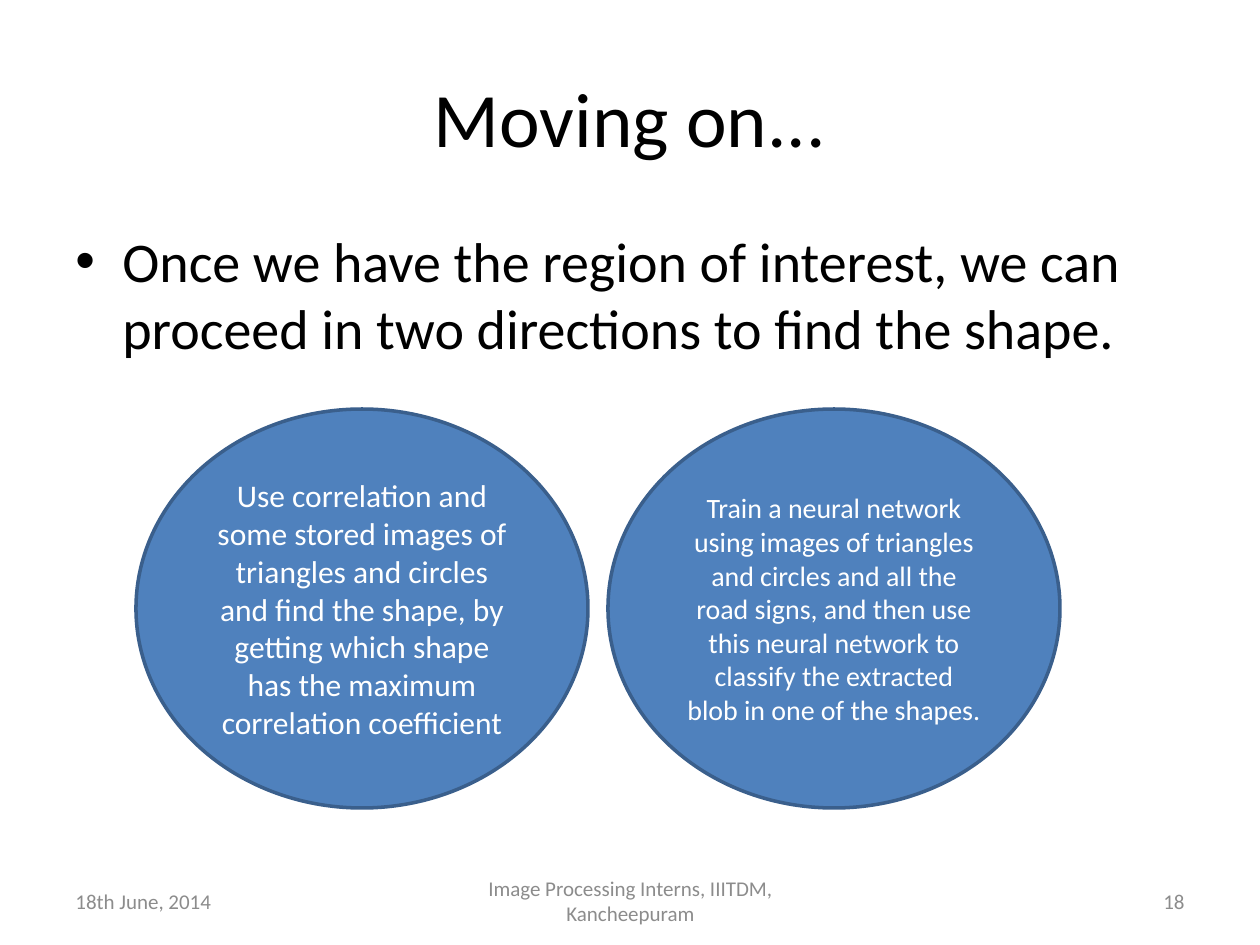
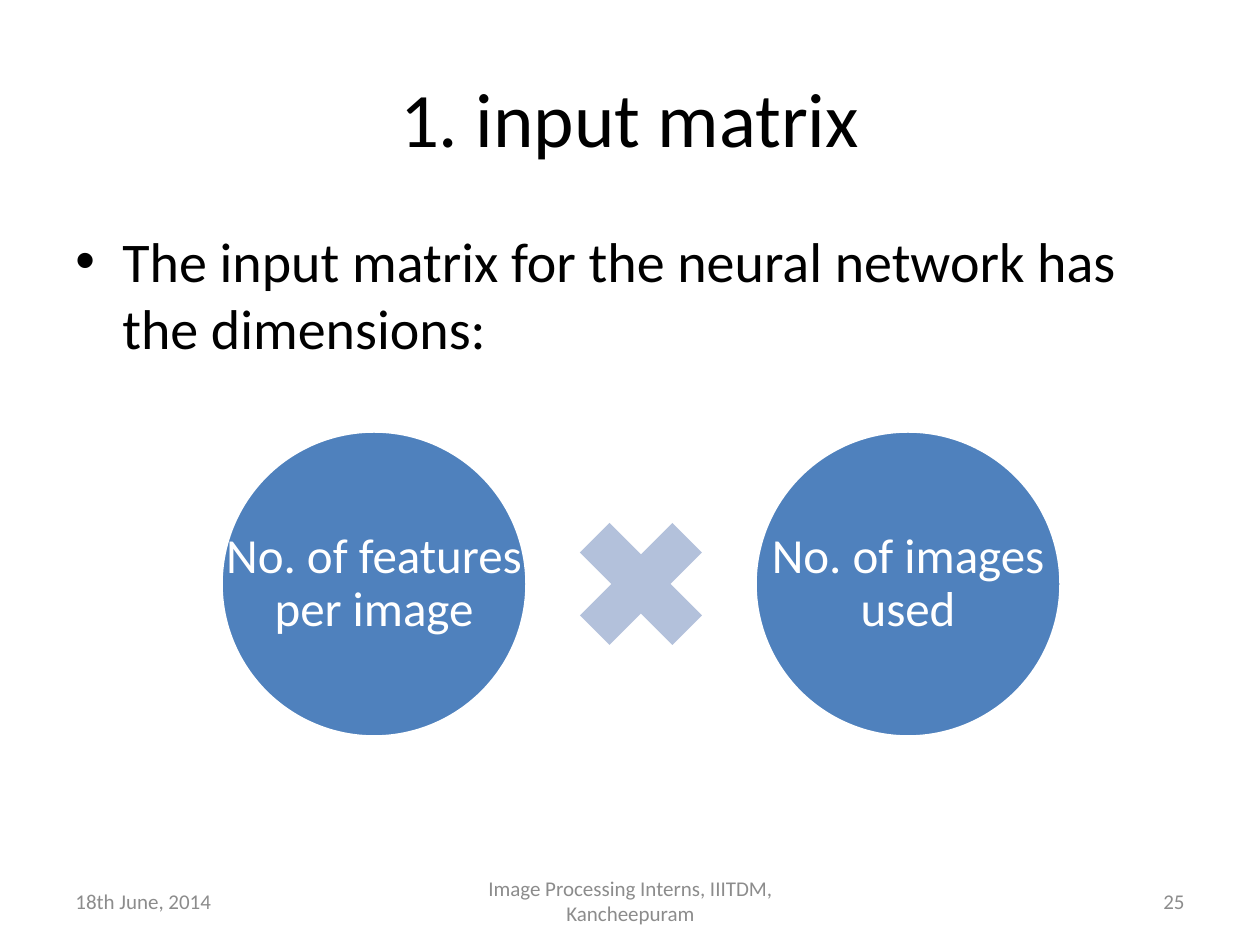
from lxml.etree import SubElement
from pptx import Presentation
from pptx.dml.color import RGBColor
from pptx.enum.shapes import MSO_SHAPE
from pptx.enum.text import MSO_ANCHOR, PP_ALIGN
from pptx.oxml.ns import qn
from pptx.util import Emu, Pt

SCALE = 914400 / 126
FONT = "Calibri"
BLACK, WHITE, GREY = "000000", "FFFFFF", "8C8C8C"
BLUE, DARK_BLUE, PALE_BLUE = "4F81BD", "3A5F8C", "B3C1DB"
MARGIN, CONTENT_W = 63, 1134
FOOTER_Y, FOOTER_H = 876, 50
LEFT, CENTER, RIGHT = PP_ALIGN.LEFT, PP_ALIGN.CENTER, PP_ALIGN.RIGHT


def px(n):
    return Emu(round(n * SCALE))


def color(value):
    return RGBColor.from_string(value)


def write(sp, text, size, text_color, align=CENTER, anchor=MSO_ANCHOR.MIDDLE,
          frame=None, para=None):
    """Fill a shape with one styled paragraph and return the paragraph."""
    tf = sp.text_frame
    frame_format = {"word_wrap": True, "vertical_anchor": anchor} | (frame or {})
    for name, value in frame_format.items():
        setattr(tf, name, value)
    p = tf.paragraphs[0]
    for name, value in ({"alignment": align} | (para or {})).items():
        setattr(p, name, value)
    r = p.add_run()
    r.text = text
    for name, value in {"name": FONT, "size": Pt(size)}.items():
        setattr(r.font, name, value)
    r.font.color.rgb = color(text_color)
    return p


def add_text(s, box, text, size, text_color, **formats):
    sp = s.shapes.add_textbox(*map(px, box))
    return write(sp, text, size, text_color, **formats)


def add_bullet(s, text):
    p = add_text(s, (MARGIN, 220, CONTENT_W, 624), text, 32, BLACK, align=LEFT,
                 anchor=MSO_ANCHOR.TOP, para={"space_before": Pt(6.4)})
    pPr = p._p.get_or_add_pPr()
    indent = px(47)
    pPr.set("marL", str(indent))
    pPr.set("indent", str(-indent))
    SubElement(pPr, qn("a:buFont")).set("typeface", "Arial")
    SubElement(pPr, qn("a:buChar")).set("char", "•")


def add_figure(s, kind, box, fill, line=None):
    sp = s.shapes.add_shape(kind, *map(px, box))
    sp.shadow.inherit = False
    sp.fill.solid()
    sp.fill.fore_color.rgb = color(fill)
    if line:
        sp.line.color.rgb = color(line)
        sp.line.width = Pt(2)
    else:
        sp.line.fill.background()
    return sp


def add_content_slide(prs, title, bullet, number):
    """Add a slide with the shared title, bullet and footer."""
    s = prs.slides.add_slide(prs.slide_layouts[6])
    add_text(s, (MARGIN, 38, CONTENT_W, 157), title, 44, BLACK)
    add_bullet(s, bullet)
    footers = [
        (MARGIN, 294, "18th June, 2014", LEFT),
        (431, 399, "Image Processing Interns, IIITDM, Kancheepuram", CENTER),
        (903, 294, str(number), RIGHT),
    ]
    for x, w, text, align in footers:
        add_text(s, (x, FOOTER_Y, w, FOOTER_H), text, 12, GREY, align=align)
    return s


def add_directions(s):
    """Two large ovals side by side, one for each approach."""
    left, top, w, h, gap = 136, 409, 452, 399, 20
    directions = [
        ("Use correlation and some stored images of triangles and circles and "
         "find the shape, by getting which shape has the maximum correlation "
         "coefficient", 18),
        ("Train a neural network using images of triangles and circles and all "
         "the road signs, and then use this neural network to classify the "
         "extracted blob in one of the shapes.", 16),
    ]
    for i, (text, size) in enumerate(directions):
        box = (left + i * (w + gap), top, w, h)
        write(add_figure(s, MSO_SHAPE.OVAL, box, BLUE, DARK_BLUE), text, size, WHITE)


def add_dimensions(s):
    """Two circles joined by a multiplication sign."""
    left, top, circle, sign, gap = 221, 431, 306, 178, 25
    insets = {f"margin_{side}": px(5) for side in ("left", "top", "right", "bottom")}
    step = circle + sign + 2 * gap
    for i, text in enumerate(["No. of features per image", "No. of images used"]):
        box = (left + i * step, top, circle, circle)
        add_figure(s, MSO_SHAPE.OVAL, box, BLUE, WHITE)
        # The label uses the full square, wider than the oval's own text area
        add_text(s, box, text, 28, WHITE, frame=insets, para={"line_spacing": 0.9})
    sign_box = (left + circle + gap, top + (circle - sign) // 2, sign, sign)
    add_figure(s, MSO_SHAPE.MATH_MULTIPLY, sign_box, PALE_BLUE)


def main():
    prs = Presentation()
    prs.slide_width, prs.slide_height = px(1260), px(945)

    # Two directions
    s = add_content_slide(
        prs, "Moving on...",
        "Once we have the region of interest, we can proceed in two directions "
        "to find the shape.", 18)
    add_directions(s)

    # Input matrix
    s = add_content_slide(
        prs, "1. input matrix",
        "The input matrix for the neural network has the dimensions:", 25)
    add_dimensions(s)

    prs.save("out.pptx")


if __name__ == "__main__":
    main()
